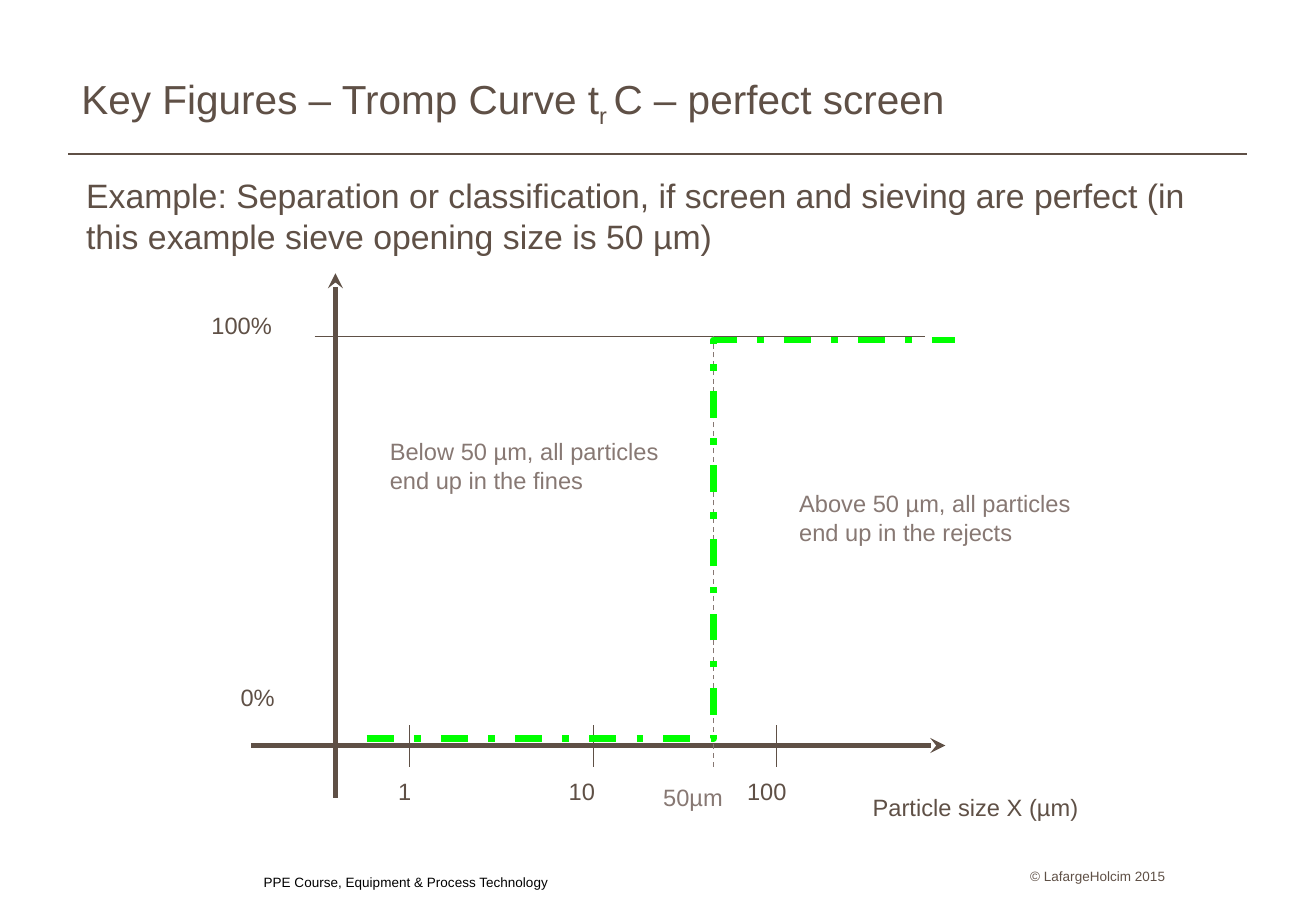
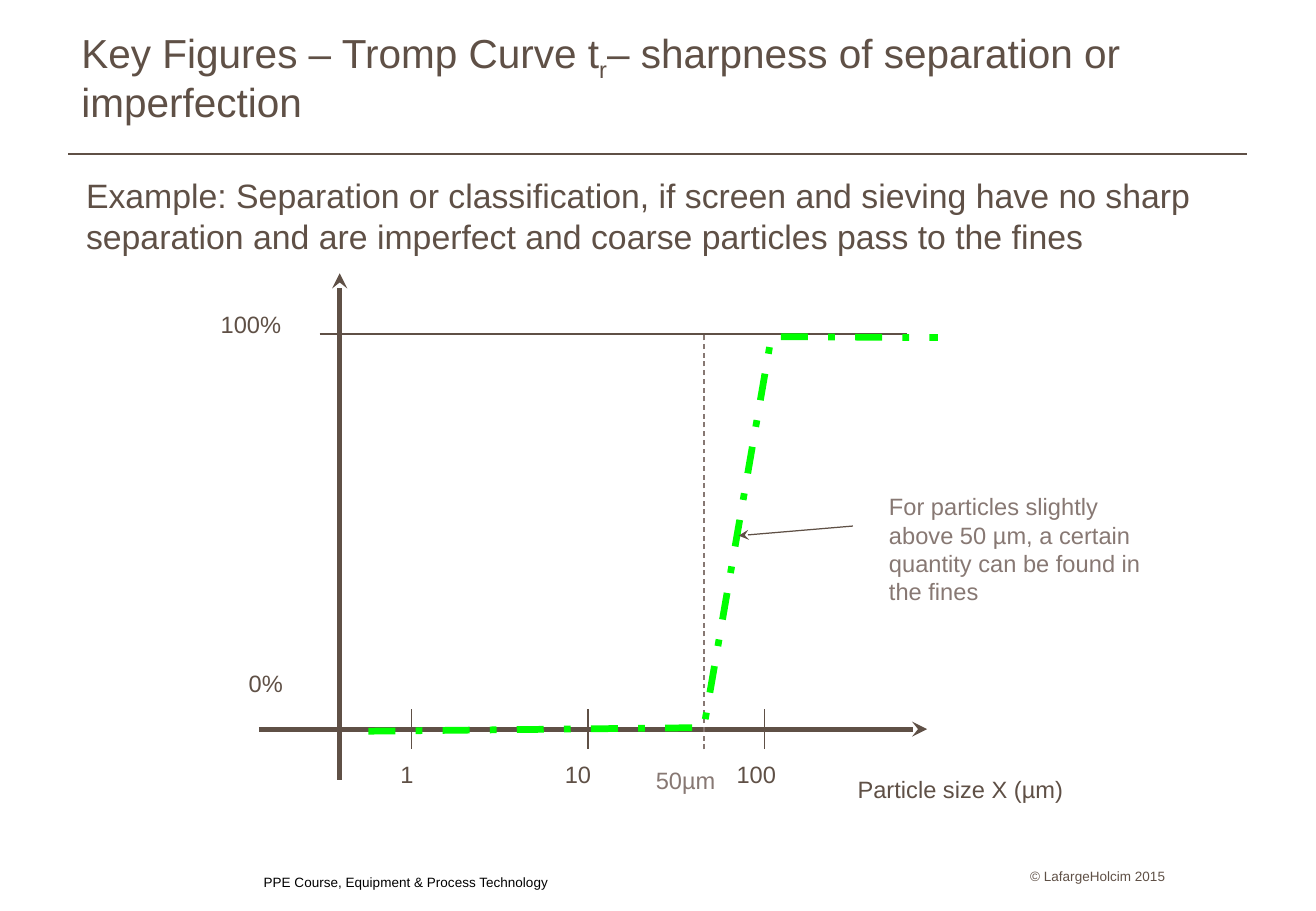
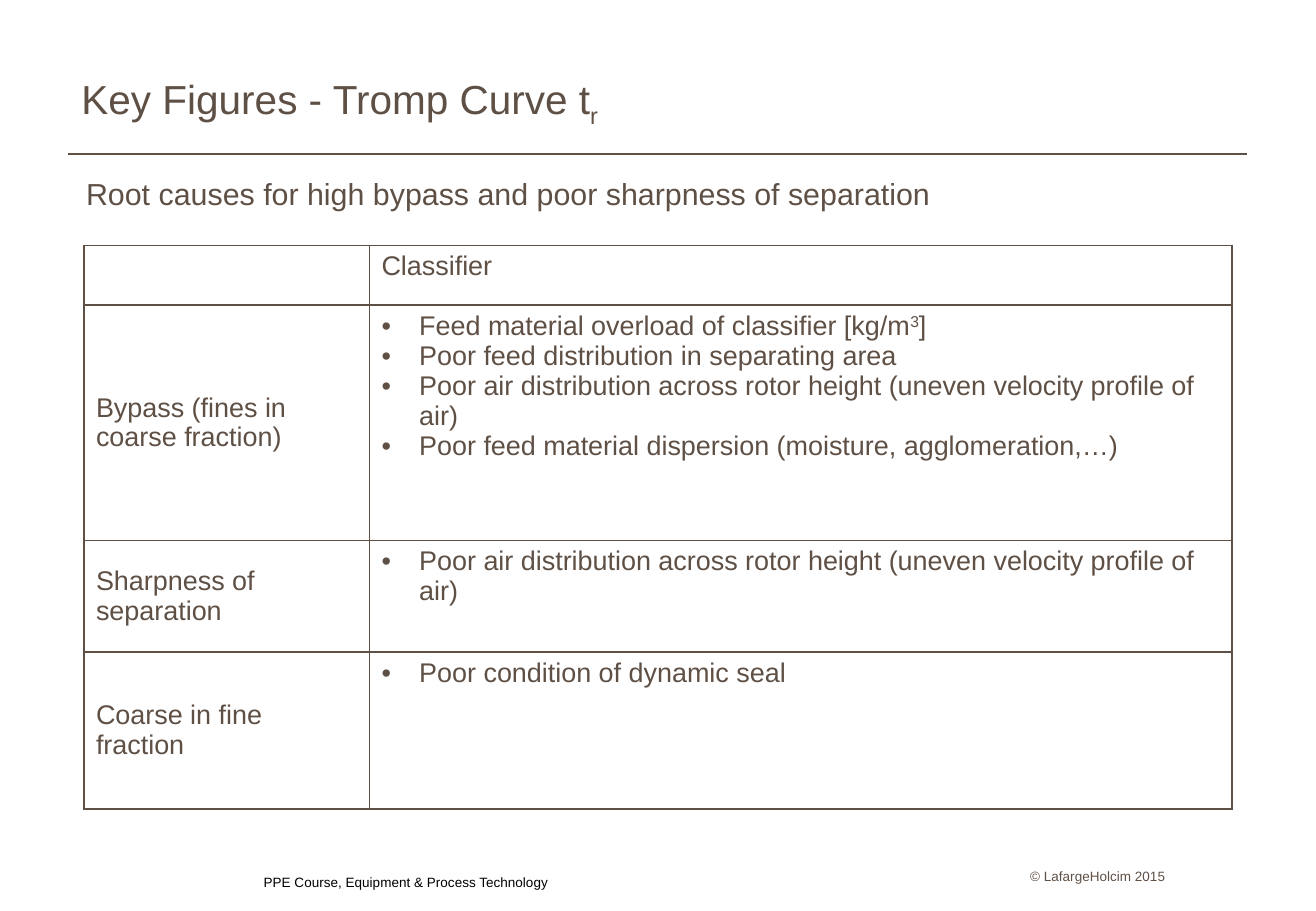
"""Build three slides on Tromp curves and separation sharpness."""
from pptx import Presentation
from pptx.dml.color import RGBColor
from pptx.enum.dml import MSO_LINE_DASH_STYLE as DASH
from pptx.enum.shapes import MSO_CONNECTOR as CONN
from pptx.enum.text import MSO_ANCHOR as ANCHOR, MSO_AUTO_SIZE as AUTO, PP_ALIGN as ALIGN
from pptx.oxml.ns import qn
from pptx.util import Inches, Pt
from lxml.etree import SubElement

W, H = 10.83, 7.5
FONT = "Arial"
COLORS = {"brown": "5F5046", "taupe": "877873", "green": "00FF00", "black": "000000"}
SUB, SUPER = -25000, 30000


def rgb(name):
    """Return the named colour."""
    return RGBColor.from_string(COLORS[name])


def add_runs(p, runs, size, color="brown"):
    """Add (text, baseline) runs to a paragraph."""
    for text, baseline in runs:
        r = p.add_run()
        r.text = text
        r.font.name, r.font.size, r.font.bold = FONT, Pt(size), False
        r.font.color.rgb = rgb(color)
        if baseline:
            r.font._element.set("baseline", str(baseline))


def add_text(s, box, text, size, color="brown", align=ALIGN.LEFT, anchor=ANCHOR.TOP, inset=None):
    """Add a wrapped text box holding one paragraph."""
    tf = s.shapes.add_textbox(*map(Inches, box)).text_frame
    tf.word_wrap, tf.vertical_anchor = True, anchor
    if inset is not None:
        tf.margin_left = tf.margin_right = tf.margin_top = tf.margin_bottom = Inches(inset)
    p = tf.paragraphs[0]
    p.alignment = align
    add_runs(p, [(text, 0)], size, color)


def add_line(s, start, end, width, color="brown", dash=None, arrow=False):
    """Add a straight line, optionally dashed or with an arrowhead at its end."""
    c = s.shapes.add_connector(CONN.STRAIGHT, *map(Inches, (*start, *end)))
    c.line.color.rgb, c.line.width = rgb(color), Pt(width)
    if dash:
        c.line.dash_style = dash
    spPr = c._element.spPr
    if arrow:
        SubElement(spPr.find(qn("a:ln")), qn("a:tailEnd"), type="stealth")
    SubElement(spPr, qn("a:effectLst"))


def add_slide(prs, title, subtitle, size, width):
    """Add a slide with title, rule, footers and subtitle."""
    s = prs.slides.add_slide(prs.slide_layouts[5])
    sp = s.shapes.title
    sp.left, sp.top, sp.width, sp.height = map(Inches, (0.57, 0.21, 9.69, 0.93))
    tf = sp.text_frame
    tf.word_wrap, tf.auto_size, tf.vertical_anchor = True, AUTO.NONE, ANCHOR.BOTTOM
    tf.margin_left = tf.margin_right = tf.margin_top = tf.margin_bottom = Inches(0.1)
    p = tf.paragraphs[0]
    p.alignment, p.line_spacing = ALIGN.LEFT, 0.95
    add_runs(p, title, 24)
    add_line(s, (0.56, 1.27), (10.26, 1.27), 1)
    add_text(s, (8.27, 7.1, 1.32, 0.18), "© LafargeHolcim 2015", 8,
             align=ALIGN.RIGHT, anchor=ANCHOR.BOTTOM, inset=0)
    add_text(s, (2.17, 7.15, 4.03, 0.18), "PPE Course, Equipment & Process Technology", 8,
             "black", anchor=ANCHOR.BOTTOM, inset=0)
    add_text(s, (0.61, 1.39, width, 0.8), subtitle, size)
    return s


def add_diagram(s, box, curve, notes, pointer=None):
    """Draw a Tromp diagram on a 100 by 100 grid laid over the box."""
    left, top, width, height = box

    def at(col, row):
        """Turn a grid position into inches."""
        return left + width * col / 100, top + height * row / 100

    def label(col, row, cols, rows, text, color="brown"):
        """Place a text on the grid."""
        add_text(s, (*at(col, row), width * cols / 100, height * rows / 100), text, 14, color)

    add_line(s, at(0, 90), at(100, 90), 3, arrow=True)
    add_line(s, at(12.1, 100), at(12.1, 0), 3, arrow=True)
    add_line(s, at(9.1, 12), at(97, 12), 0.75)
    for i, (text, col, cols) in enumerate([("1", 19.4, 6.1), ("10", 44, 8.8), ("100", 69.7, 11.2)]):
        tick = 22.8 + 26.45 * i
        add_line(s, at(tick, 86.1), at(tick, 94), 0.75)
        label(col, 94.9, cols, 9.7, text)
    label(87.8, 97.9, 43.1, 9.7, "Particle size X (µm)")
    label(-3.3, 77, 10.2, 9.7, "0%")
    label(-7.5, 6, 15.2, 9.7, "100%")
    label(57.6, 96, 15.1, 9.7, "50µm", "taupe")
    for note in notes:
        label(*note, "taupe")
    add_line(s, at(66.6, 94), at(66.6, 12), 0.75, "taupe", DASH.DASH)

    points = [tuple(map(Inches, at(*point))) for point in curve]
    fb = s.shapes.build_freeform(*points[0])
    fb.add_line_segments(points[1:], close=False)
    sp = fb.convert_to_shape()
    sp.shadow.inherit = False
    sp.fill.background()
    sp.line.color.rgb, sp.line.width, sp.line.dash_style = rgb("green"), Pt(4), DASH.DASH_DOT
    if pointer:
        add_line(s, *(at(*point) for point in pointer), 0.75, arrow=True)


def set_borders(cell):
    """Give a cell four thin brown borders and no fill."""
    tcPr = cell._tc.get_or_add_tcPr()
    for side in "LRTB":
        ln = SubElement(tcPr, qn(f"a:ln{side}"), w=str(Pt(1)))
        SubElement(SubElement(ln, qn("a:solidFill")), qn("a:srgbClr"), val=COLORS["brown"])
    cell.fill.background()


def add_causes(s, box, cols, rows, causes):
    """Add the table of root causes, one (heading, bullets) pair a row."""
    t = s.shapes.add_table(len(rows), len(cols), *map(Inches, box)).table
    t.first_row = t.horz_banding = False
    for col, width in zip(t.columns, cols):
        col.width = Inches(width)
    for row, height in zip(t.rows, rows):
        row.height = Inches(height)
    for cell in t.iter_cells():
        set_borders(cell)
    add_runs(t.cell(0, 1).text_frame.paragraphs[0], [("Classifier", 0)], 16)
    for i, (heading, bullets) in enumerate(causes, 1):
        head, body = t.cell(i, 0), t.cell(i, 1).text_frame
        head.vertical_anchor = ANCHOR.MIDDLE
        add_runs(head.text_frame.paragraphs[0], [(heading, 0)], 16)
        for j, runs in enumerate(bullets):
            p = body.add_paragraph() if j else body.paragraphs[0]
            pPr = p._p.get_or_add_pPr()
            pPr.set("marL", str(Inches(0.31)))
            pPr.set("indent", str(-Inches(0.31)))
            SubElement(pPr, qn("a:buFont"), typeface=FONT)
            SubElement(pPr, qn("a:buChar"), char="•")
            add_runs(p, runs, 16)


def main():
    """Build and save the presentation."""
    prs = Presentation()
    prs.slide_width, prs.slide_height = Inches(W), Inches(H)

    s = add_slide(prs, [("Key Figures – Tromp Curve t", 0), ("r ", SUB), ("C – perfect screen", 0)],
                  "Example: Separation or classification, if screen and sieving are perfect "
                  "(in this example sieve opening size is 50 µm)", 20, 9.45)
    add_diagram(s, (2.07, 2.25, 5.71, 4.32),
                [(16.6, 88.7), (66.6, 88.7), (66.6, 12.7), (101.4, 12.7)],
                [(77.2, 40, 44, 24, "Above 50 µm, all particles end up in the rejects"),
                 (18.2, 30.1, 45.4, 24, "Below 50 µm, all particles end up in the fines")])

    s = add_slide(prs, [("Key Figures – Tromp Curve t", 0), ("r", SUB),
                        ("– sharpness of separation or imperfection", 0)],
                  "Example: Separation or classification, if screen and sieving have no sharp "
                  "separation and are imperfect and coarse particles pass to the fines", 20, 10)
    add_diagram(s, (2.13, 2.25, 5.5, 4.17),
                [(16.4, 90.4), (66.6, 89.7), (76.7, 12.5), (101.6, 12.7)],
                [(92.5, 42, 44, 38.4, "For particles slightly above 50 µm, a certain quantity "
                                      "can be found in the fines")],
                pointer=[(88.9, 49.9), (71.8, 51.8)])

    s = add_slide(prs, [("Key Figures - Tromp Curve t", 0), ("r", SUB)],
                  "Root causes for high bypass and poor sharpness of separation", 18, 9.69)
    uneven_air = [("Poor air distribution across rotor height (uneven velocity profile of air)", 0)]
    add_causes(s, (0.69, 2.02, 9.45, 4.64), (2.35, 7.1), (0.49, 1.94, 0.92, 1.29), [
        ("Bypass (fines in coarse fraction)", [
            [("Feed material overload of classifier [kg/m", 0), ("3", SUPER), ("]", 0)],
            [("Poor feed distribution in separating area", 0)],
            uneven_air,
            [("Poor feed material dispersion (moisture, agglomeration,…)", 0)]]),
        ("Sharpness of separation", [uneven_air]),
        ("Coarse in fine fraction", [[("Poor condition of dynamic seal", 0)]])])

    prs.save("out.pptx")


if __name__ == "__main__":
    main()
